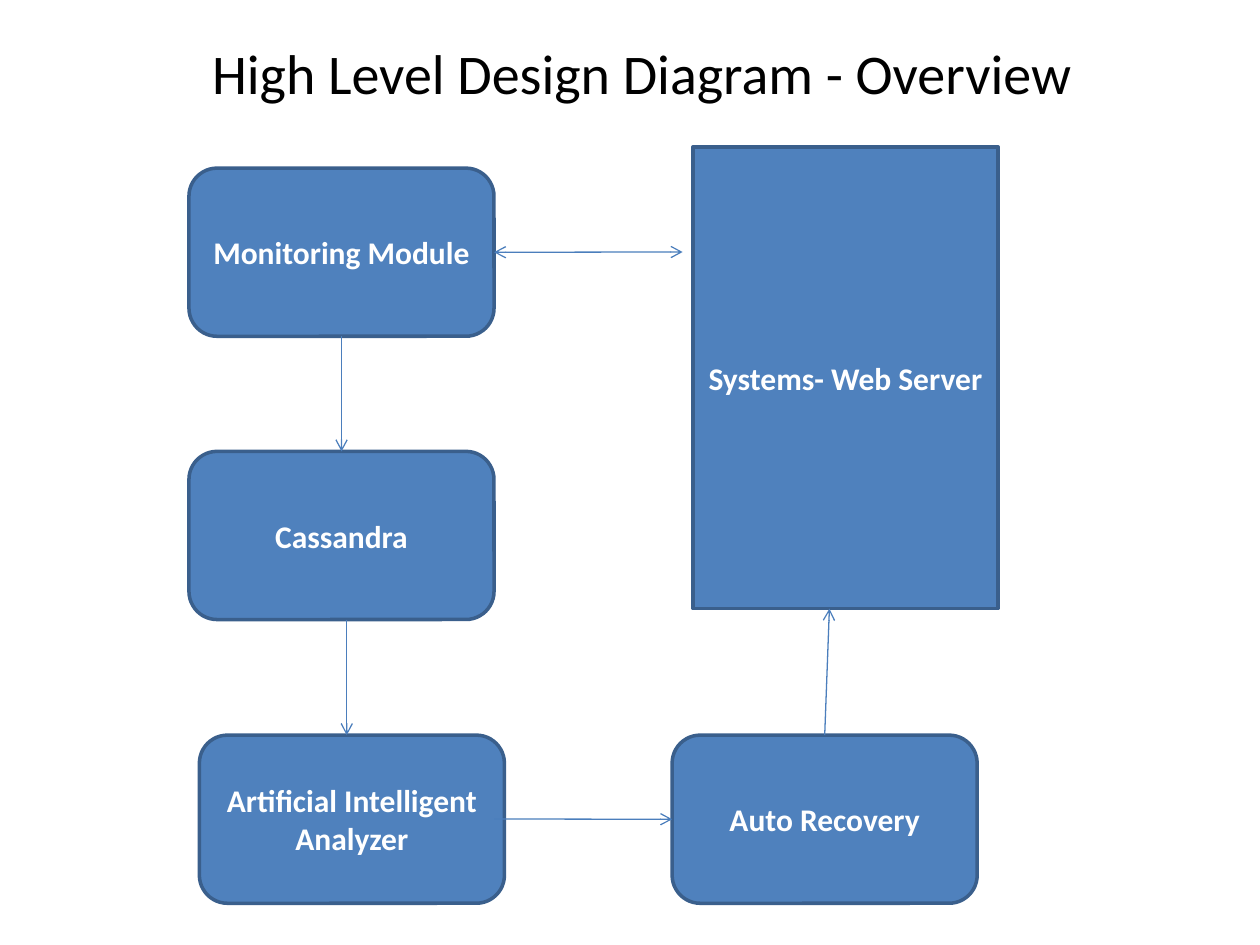
from lxml import etree
from pptx import Presentation
from pptx.dml.color import RGBColor
from pptx.enum.shapes import MSO_CONNECTOR, MSO_SHAPE
from pptx.enum.text import MSO_ANCHOR, MSO_AUTO_SIZE, PP_ALIGN
from pptx.oxml.ns import qn
from pptx.util import Cm, Pt

ROUNDED, RECTANGLE = MSO_SHAPE.ROUNDED_RECTANGLE, MSO_SHAPE.RECTANGLE
STRAIGHT = MSO_CONNECTOR.STRAIGHT
LEFT, CENTER = PP_ALIGN.LEFT, PP_ALIGN.CENTER
MIDDLE = MSO_ANCHOR.MIDDLE
GROW = MSO_AUTO_SIZE.SHAPE_TO_FIT_TEXT
TOP_SIDE, LEFT_SIDE, BOTTOM_SIDE, RIGHT_SIDE = range(4)

BOX_WIDTH, MODULE_HEIGHT, SERVER_HEIGHT = 6.15, 3.39, 9.31
TITLE_FORMAT = {"name": "Calibri", "size": Pt(32), "bold": False}
LABEL_FORMAT = {"name": "Calibri", "size": Pt(18), "bold": True}


def color(value):
    return RGBColor.from_string(value)


def write(frame, text, alignment, font_format, font_color):
    para = frame.paragraphs[0]
    para.alignment = alignment
    span = para.add_run()
    span.text = text
    for name, value in font_format.items():
        setattr(span.font, name, value)
    span.font.color.rgb = color(font_color)


def add_title(page, text):
    title = page.shapes.title
    place = {"left": 4.02, "top": 0.64, "width": 18.03, "height": 1.63}
    for name, value in place.items():
        setattr(title, name, Cm(value))
    frame = title.text_frame
    frame.word_wrap = False
    frame.auto_size = GROW
    write(frame, text, LEFT, TITLE_FORMAT, "000000")


def add_box(page, text, left, top, height=MODULE_HEIGHT, kind=ROUNDED):
    box = page.shapes.add_shape(kind, Cm(left), Cm(top), Cm(BOX_WIDTH), Cm(height))
    box.shadow.inherit = False
    box.fill.solid()
    box.fill.fore_color.rgb = color("4F81BD")
    box.line.color.rgb = color("3A5F8C")
    box.line.width = Pt(2)
    frame = box.text_frame
    frame.word_wrap = True
    frame.vertical_anchor = MIDDLE
    write(frame, text, CENTER, LABEL_FORMAT, "FFFFFF")
    return box


def add_arrow(page, start, end, begin=None, finish=None, both_ways=False):
    """Draw an arrow; begin and finish are optional (box, side) joints."""
    arrow = page.shapes.add_connector(STRAIGHT, *map(Cm, start + end))
    if begin:
        arrow.begin_connect(*begin)
    if finish:
        arrow.end_connect(*finish)
    arrow.line.color.rgb = color("4B7EBC")
    arrow.line.width = Pt(0.75)
    outline = arrow.line._get_or_add_ln()
    for tag in ("a:headEnd", "a:tailEnd") if both_ways else ("a:tailEnd",):
        etree.SubElement(outline, qn(tag), type="arrow")
    etree.SubElement(arrow._element.spPr, qn("a:effectLst"))


def main():
    deck = Presentation()
    deck.slide_width, deck.slide_height = Cm(25.4), Cm(19.05)
    page = deck.slides.add_slide(deck.slide_layouts[5])
    add_title(page, "High Level Design Diagram - Overview")

    # Modules and the server they look after
    monitor = add_box(page, "Monitoring Module", 3.81, 3.39)
    database = add_box(page, "Cassandra", 3.81, 9.1)
    add_box(page, "Artificial Intelligent Analyzer", 4.02, 14.82)
    recovery = add_box(page, "Auto Recovery", 13.55, 14.82)
    add_box(page, "Systems- Web Server", 13.97, 2.96, SERVER_HEIGHT, RECTANGLE)

    # Flow between them
    add_arrow(page, (9.96, 5.08), (13.76, 5.08), (monitor, RIGHT_SIDE), both_ways=True)
    add_arrow(page, (6.88, 6.78), (6.88, 9.1), (monitor, BOTTOM_SIDE), (database, TOP_SIDE))
    add_arrow(page, (6.99, 12.49), (6.99, 14.82))
    add_arrow(page, (9.96, 16.51), (13.55, 16.51), finish=(recovery, LEFT_SIDE))
    add_arrow(page, (16.62, 14.82), (16.72, 12.27), (recovery, TOP_SIDE))

    deck.save("out.pptx")


if __name__ == "__main__":
    main()
